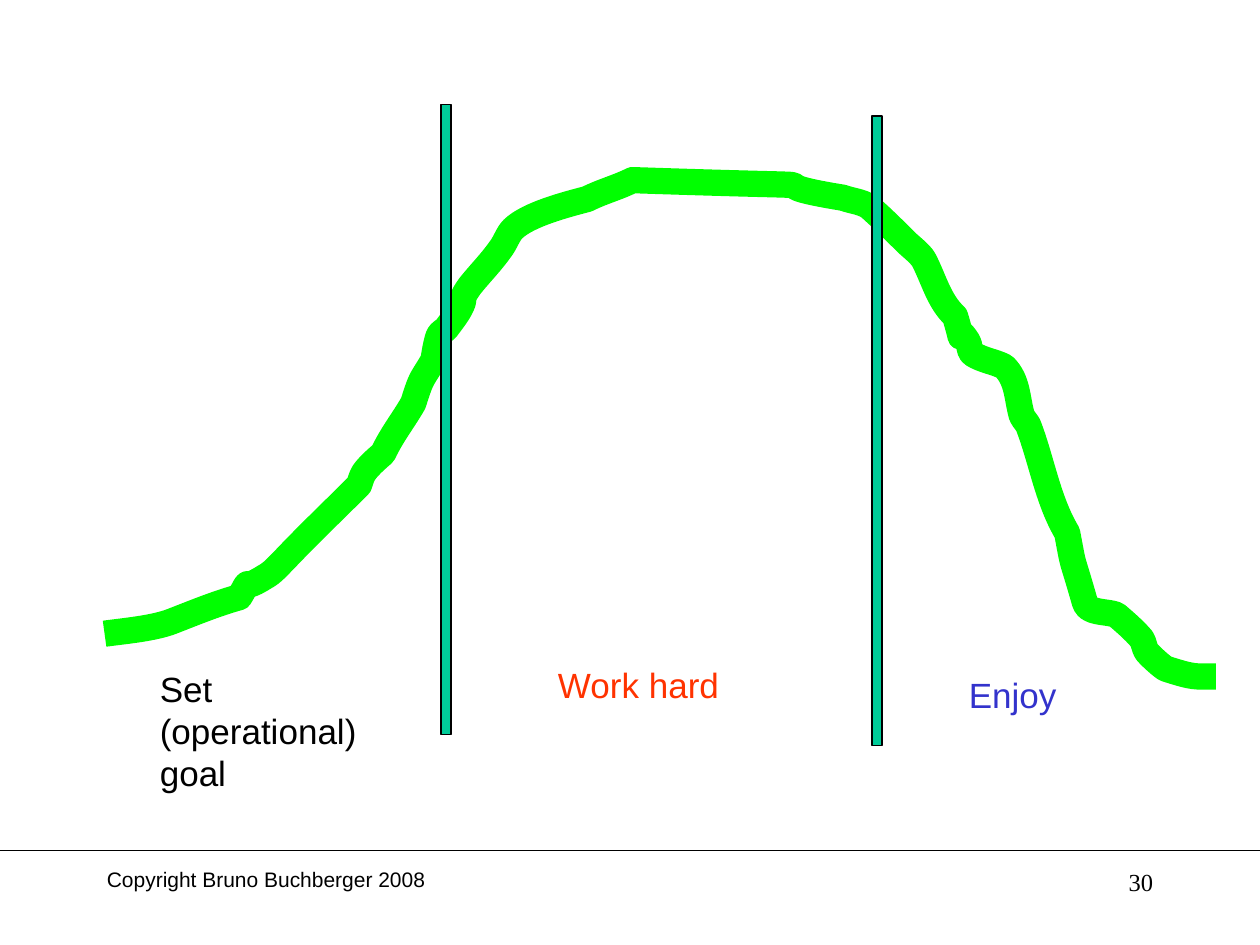
from dataclasses import dataclass

from lxml.etree import SubElement
from pptx import Presentation
from pptx.dml.color import RGBColor as RGB
from pptx.enum.shapes import MSO_CONNECTOR as CONNECTOR, MSO_SHAPE as SHAPE
from pptx.enum.text import MSO_AUTO_SIZE as AUTO, PP_ALIGN as ALIGN
from pptx.oxml.ns import qn
from pptx.util import Pt

PX = 9144


@dataclass(frozen=True)
class Theme:
    ink: str = "000000"
    curve: str = "00FF00"
    divider: str = "00CC99"
    work: str = "FF3300"
    enjoy: str = "3333CC"
    sans: str = "Arial"
    serif: str = "Times New Roman"
    label_size: int = 20
    footer_size: int = 12
    number_size: int = 14
    hairline: float = 0.75
    curve_width: int = 15


class SlideBuilder:
    def __init__(self, slide, theme):
        self.shapes = slide.shapes
        self.theme = theme

    def outline(self, line, color, width):
        line.color.rgb = RGB.from_string(color)
        line.width = Pt(width)

    def text(self, box, lines, color, size, font=None, align=ALIGN.LEFT,
             wrap=False, fit=AUTO.SHAPE_TO_FIT_TEXT):
        frame = self.shapes.add_textbox(*(n * PX for n in box)).text_frame
        frame.word_wrap = wrap
        frame.auto_size = fit
        for index, line in enumerate(lines):
            paragraph = frame.add_paragraph() if index else frame.paragraphs[0]
            paragraph.alignment = align
            run = paragraph.add_run()
            run.text = line
            run.font.name = font or self.theme.sans
            run.font.size = Pt(size)
            run.font.color.rgb = RGB.from_string(color)

    def rule(self, x1, y1, x2, y2):
        rule = self.shapes.add_connector(
            CONNECTOR.STRAIGHT, *(n * PX for n in (x1, y1, x2, y2)))
        self.outline(rule.line, self.theme.ink, self.theme.hairline)
        SubElement(rule._element.spPr, qn("a:effectLst"))

    def bar(self, box):
        bar = self.shapes.add_shape(SHAPE.RECTANGLE, *(n * PX for n in box))
        bar.shadow.inherit = False
        bar.fill.solid()
        bar.fill.fore_color.rgb = RGB.from_string(self.theme.divider)
        self.outline(bar.line, self.theme.ink, self.theme.hairline)

    def curve(self, start, segments):
        builder = self.shapes.build_freeform(*start, scale=PX)
        points = [pair for s in segments for pair in zip(s[::2], s[1::2])]
        builder.add_line_segments(points, close=False)
        curve = builder.convert_to_shape()
        curve.shadow.inherit = False
        curve.fill.background()
        self.outline(curve.line, self.theme.curve, self.theme.curve_width)
        SubElement(curve.line._get_or_add_ln(), qn("a:round"))
        route = next(curve._element.iter(qn("a:path")))
        steps = route.findall(qn("a:lnTo"))
        for first in range(0, len(steps), 3):
            bezier = SubElement(route, qn("a:cubicBezTo"))
            for step in steps[first:first + 3]:
                bezier.append(step[0])
                route.remove(step)


EFFORT_START = (83, 503)
EFFORT_SEGMENTS = [
    (97, 501, 122, 499, 137, 493), (155, 486, 172, 479, 190, 474),
    (202, 454, 188, 472, 210, 458), (216, 455, 221, 449, 226, 444),
    (245, 424, 265, 405, 285, 385), (286, 382, 287, 378, 289, 375),
    (293, 369, 304, 360, 304, 360), (311, 345, 320, 334, 328, 320),
    (335, 298, 334, 303, 344, 286), (345, 280, 346, 273, 348, 267),
    (349, 264, 352, 263, 354, 261), (357, 257, 361, 252, 364, 247),
    (372, 233, 363, 241, 373, 227), (381, 217, 390, 208, 397, 198),
    (401, 193, 403, 186, 407, 182), (419, 170, 451, 162, 466, 158),
    (478, 152, 490, 149, 502, 143), (711, 150, 577, 142, 669, 157),
    (677, 160, 687, 160, 693, 167), (702, 175, 710, 183, 719, 192),
    (723, 196, 730, 201, 733, 206), (741, 221, 745, 239, 758, 251),
    (768, 285, 756, 252, 768, 271), (770, 274, 769, 279, 772, 281),
    (780, 286, 789, 287, 797, 291), (808, 302, 807, 316, 811, 330),
    (813, 334, 816, 336, 817, 340), (827, 367, 832, 398, 847, 423),
    (853, 455, 849, 436, 861, 478), (863, 487, 878, 485, 886, 488),
    (893, 494, 900, 500, 906, 507), (908, 510, 908, 514, 910, 517),
    (911, 519, 924, 531, 926, 531), (948, 538, 948, 537, 965, 537),
]


def main():
    deck = Presentation()
    deck.slide_width, deck.slide_height = 1000 * PX, 750 * PX
    theme = Theme()
    page = SlideBuilder(deck.slides.add_slide(deck.slide_layouts[6]), theme)

    page.text((75, 683, 273, 30), ["Copyright Bruno Buchberger 2008"],
              theme.ink, theme.footer_size)
    page.rule(0, 675, 1025, 675)
    page.curve(EFFORT_START, EFFORT_SEGMENTS)
    for left, top in ((350, 83), (692, 92)):
        page.bar((left, top, 8, 500))

    page.text((117, 525, 225, 110), ["Set", "(operational)", "goal"],
              theme.ink, theme.label_size, wrap=True)
    page.text((433, 522, 148, 44), ["Work hard"], theme.work, theme.label_size)
    page.text((759, 530, 89, 77), ["Enjoy"], theme.enjoy, theme.label_size,
              fit=AUTO.NONE)
    page.text((717, 683, 208, 50), ["30"], theme.ink, theme.number_size,
              theme.serif, ALIGN.RIGHT, wrap=True, fit=AUTO.NONE)
    deck.save("out.pptx")


if __name__ == "__main__":
    main()
